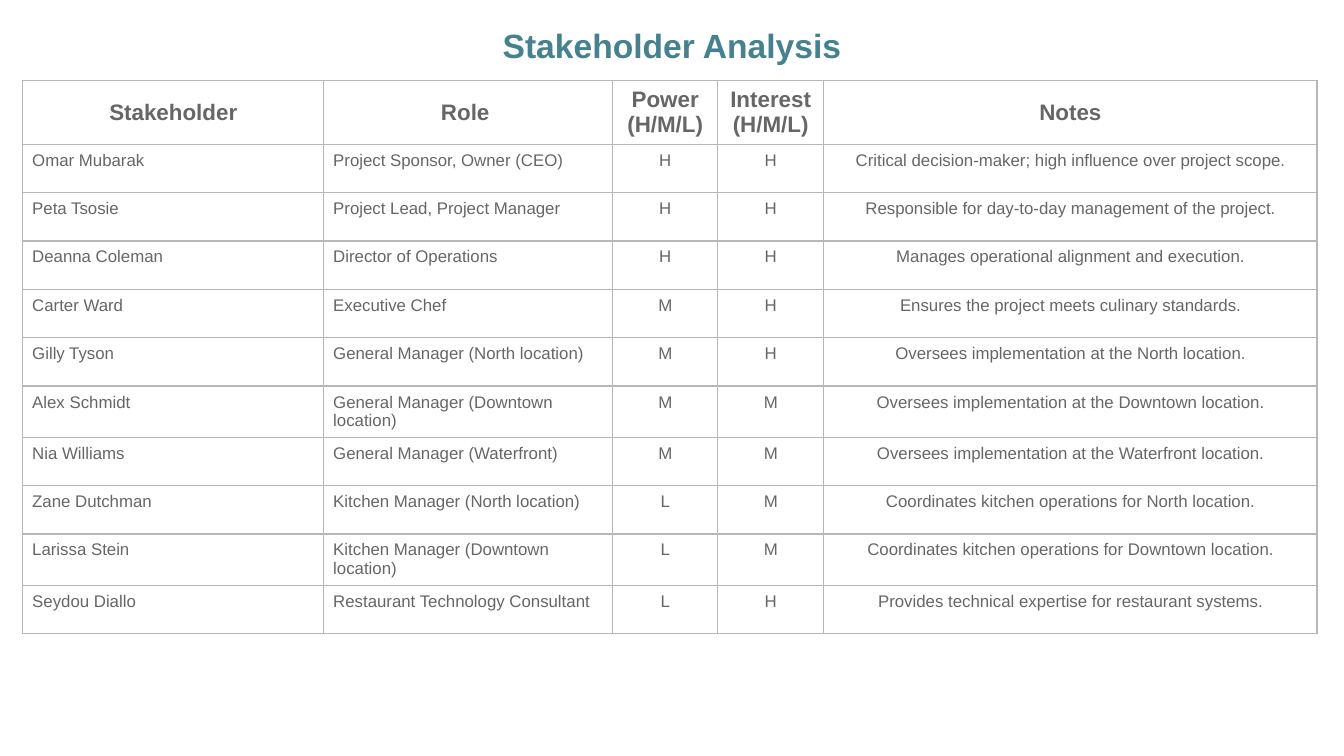
"""Build the Stakeholder Analysis slide: a centred title above a bordered table."""
from lxml import etree
from pptx import Presentation
from pptx.dml.color import RGBColor
from pptx.enum.text import MSO_ANCHOR, MSO_AUTO_SIZE, PP_ALIGN
from pptx.oxml.ns import qn
from pptx.util import Inches, Pt

LEFT, CENTER = PP_ALIGN.LEFT, PP_ALIGN.CENTER
TOP, MIDDLE = MSO_ANCHOR.TOP, MSO_ANCHOR.MIDDLE
NO_AUTOFIT = MSO_AUTO_SIZE.NONE
FONT = "Arial"
COLORS = {"title": "45818E", "text": "666666", "border": "B7B7B7"}

HEADERS = ["Stakeholder", "Role ", "Power (H/M/L)", "Interest (H/M/L)", "Notes"]
STAKEHOLDERS = [
    ("Omar Mubarak", "Project Sponsor, Owner (CEO)", "H", "H",
     "Critical decision-maker; high influence over project scope."),
    ("Peta Tsosie", "Project Lead, Project Manager", "H", "H",
     "Responsible for day-to-day management of the project."),
    ("Deanna Coleman", "Director of Operations", "H", "H",
     "Manages operational alignment and execution."),
    ("Carter Ward", "Executive Chef", "M", "H",
     "Ensures the project meets culinary standards."),
    ("Gilly Tyson", "General Manager (North location)", "M", "H",
     "Oversees implementation at the North location."),
    ("Alex Schmidt", "General Manager (Downtown location)", "M", "M",
     "Oversees implementation at the Downtown location."),
    ("Nia Williams", "General Manager (Waterfront)", "M", "M",
     "Oversees implementation at the Waterfront location."),
    ("Zane Dutchman", "Kitchen Manager (North location)", "L", "M",
     "Coordinates kitchen operations for North location."),
    ("Larissa Stein", "Kitchen Manager (Downtown location)", "L", "M",
     "Coordinates kitchen operations for Downtown location."),
    ("Seydou Diallo", "Restaurant Technology Consultant", "L", "H",
     "Provides technical expertise for restaurant systems."),
]
COL_WIDTHS = [2.24, 2.15, 0.78, 0.79, 3.67]
ROW_HEIGHTS = [0.28] + [0.36] * len(STAKEHOLDERS)


def add_run(p, text, size, color, bold):
    r = p.add_run()
    r.text = text
    r.font.name = FONT
    r.font.size = Pt(size)
    r.font.bold = bold
    r.font.color.rgb = RGBColor.from_string(COLORS[color])


def add_borders(cell):
    tc_pr = cell._tc.get_or_add_tcPr()
    for side in ("lnL", "lnR", "lnT", "lnB"):
        ln = etree.SubElement(tc_pr, qn(f"a:{side}"), w=str(Pt(0.75)))
        fill = etree.SubElement(ln, qn("a:solidFill"))
        etree.SubElement(fill, qn("a:srgbClr"), val=COLORS["border"])


prs = Presentation()
prs.slide_width, prs.slide_height = Inches(10), Inches(10 * 9 / 16)
s = prs.slides.add_slide(prs.slide_layouts[5])

title = s.shapes.title
title.left, title.top = Inches(0.83), Inches(0.04)
title.width, title.height = Inches(8.34), Inches(0.5)
tf = title.text_frame
tf.word_wrap = True
tf.auto_size = NO_AUTOFIT
tf.vertical_anchor = TOP
tf.margin_left = tf.margin_right = tf.margin_top = tf.margin_bottom = Inches(0.1)
p = tf.paragraphs[0]
p.alignment = CENTER
p.line_spacing = 1.15
add_run(p, "Stakeholder Analysis", 18, "title", True)

table = s.shapes.add_table(
    len(ROW_HEIGHTS), len(COL_WIDTHS), Inches(0.17), Inches(0.6),
    Inches(sum(COL_WIDTHS)), Inches(sum(ROW_HEIGHTS))).table
table.first_row = table.horz_banding = False
for column, width in zip(table.columns, COL_WIDTHS):
    column.width = Inches(width)
for row, height in zip(table.rows, ROW_HEIGHTS):
    row.height = Inches(height)

for i, values in enumerate([HEADERS, *STAKEHOLDERS]):
    is_header = i == 0
    for j, value in enumerate(values):
        cell = table.cell(i, j)
        cell.margin_left = cell.margin_right = Inches(0.07)
        cell.margin_top = cell.margin_bottom = Inches(0.05)
        cell.vertical_anchor = MIDDLE if is_header else TOP
        add_borders(cell)
        cell.fill.background()
        p = cell.text_frame.paragraphs[0]
        p.alignment = CENTER if is_header or j >= 2 else LEFT
        add_run(p, value, 12 if is_header else 9, "text", is_header)

prs.save("out.pptx")
